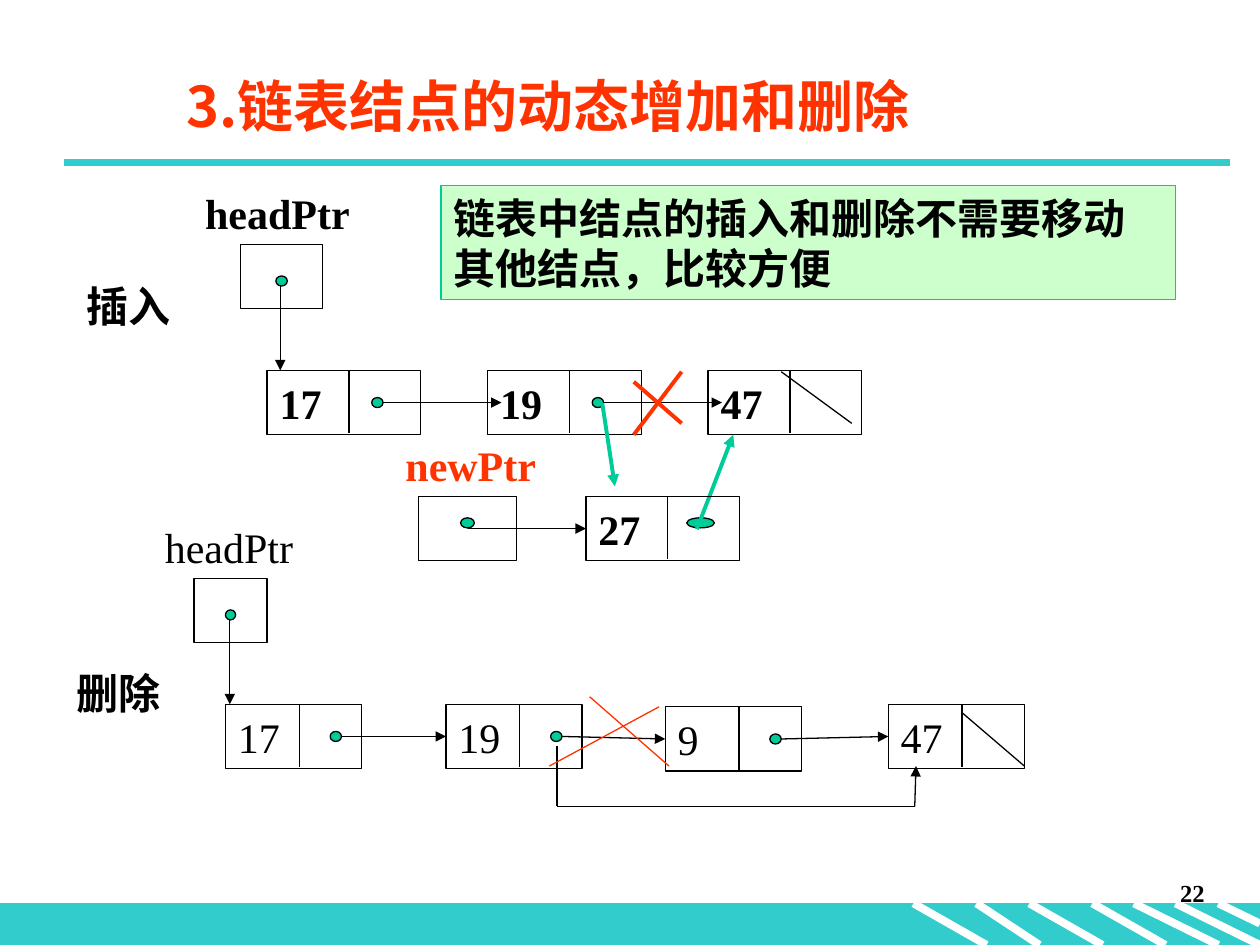
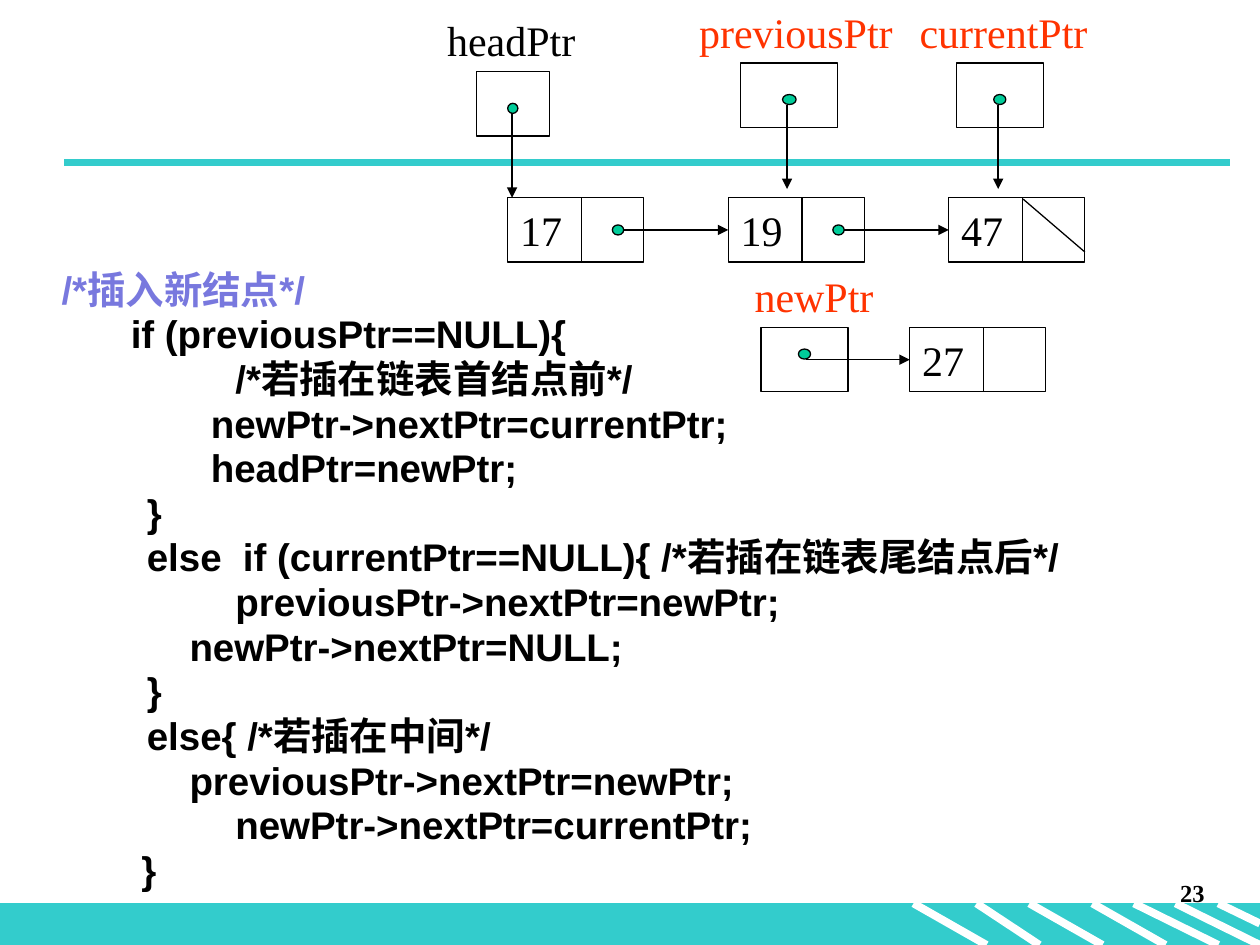
from pptx import Presentation
from pptx.dml.color import RGBColor
from pptx.enum.shapes import MSO_CONNECTOR, MSO_SHAPE
from pptx.enum.text import MSO_ANCHOR, PP_ALIGN
from pptx.oxml.ns import qn
from pptx.oxml.xmlchemy import OxmlElement
from pptx.util import Inches, Pt

TEAL, GREEN, MINT = "33CCCC", "00CC99", "CCFFCC"
RED, BLUE, BLACK, WHITE = "FF3300", "7878DE", "000000", "FFFFFF"
SERIF, SANS, HAN = "Times New Roman", "Arial", "Noto Sans CJK SC"
STEP = 1.75  # from one node of a list to the next
BOX_H = 0.51
MID = BOX_H / 2
STRIPES = [(7.25, 7.83, 7.5), (7.75, 8.25, 7.5), (8.17, 8.75, 7.5),
           (8.67, 9.25, 7.5), (9, 9.67, 7.5), (9.33, 10, 7.5),
           (9.67, 10, 7.33)]
CODE = [
    "/*插入新结点*/",
    "\t  if (previousPtr==NULL){",
    "\t\t/*若插在链表首结点前*/",
    "              newPtr->nextPtr=currentPtr;",
    "              headPtr=newPtr;",
    "        }",
    "        else  if (currentPtr==NULL){ /*若插在链表尾结点后*/",
    "      \tpreviousPtr->nextPtr=newPtr;",
    "            newPtr->nextPtr=NULL;",
    "        }",
    "        else{ /*若插在中间*/",
    "            previousPtr->nextPtr=newPtr;",
    "      \tnewPtr->nextPtr=currentPtr;",
    "   \t   }",
]


def rgb(color):
    return RGBColor.from_string(color)


def style(para, size, color=BLACK, bold=False, font=SERIF):
    """Set the font of a paragraph; Chinese letters are always sans serif."""
    face = para.font
    face.size, face.bold, face.name = Pt(size), bold, font
    face.color.rgb = rgb(color)
    asian = OxmlElement("a:ea")
    asian.set("typeface", HAN if font == HAN else SANS)
    para._p.pPr.find(qn("a:defRPr")).append(asian)


def label(slide, x, y, w, h, text, size=24, color=BLACK, bold=False,
          font=SERIF, align=PP_ALIGN.LEFT, anchor=MSO_ANCHOR.TOP):
    frame = slide.shapes.add_textbox(
        Inches(x), Inches(y), Inches(w), Inches(h)).text_frame
    frame.word_wrap = True
    frame.vertical_anchor = anchor
    para = frame.paragraphs[0]
    para.text, para.alignment = text, align
    style(para, size, color, bold, font)


def shape(slide, kind, x, y, w, h, fill=None, edge=BLACK):
    item = slide.shapes.add_shape(
        kind, Inches(x), Inches(y), Inches(w), Inches(h))
    item.shadow.inherit = False
    if fill:
        item.fill.solid()
        item.fill.fore_color.rgb = rgb(fill)
    else:
        item.fill.background()
    item.line.color.rgb = rgb(edge)
    item.line.width = Pt(0.75)
    return item


def box(slide, x, y, w, h=BOX_H, text="", bold=False, fill=None, edge=BLACK):
    item = shape(slide, MSO_SHAPE.RECTANGLE, x, y, w, h, fill, edge)
    if text:
        frame = item.text_frame
        frame.word_wrap = True
        frame.vertical_anchor = MSO_ANCHOR.MIDDLE
        para = frame.paragraphs[0]
        para.text, para.alignment = text, PP_ALIGN.LEFT
        style(para, 24, bold=bold)
    return item


def dot(slide, x, y, w):
    shape(slide, MSO_SHAPE.OVAL, x, y, w, 0.08, GREEN)


def line(slide, x1, y1, x2, y2, color=BLACK, width=0.75, arrow=False):
    item = slide.shapes.add_connector(
        MSO_CONNECTOR.STRAIGHT, Inches(x1), Inches(y1), Inches(x2), Inches(y2))
    item.line.color.rgb = rgb(color)
    item.line.width = Pt(width)
    if arrow:
        tail = OxmlElement("a:tailEnd")
        tail.set("type", "triangle")
        item.line._get_or_add_ln().append(tail)
    item._element.spPr.append(OxmlElement("a:effectLst"))
    return item


def node(slide, x, y, text, bold=False):
    """Draw a list node: a value and an empty link field."""
    w, split = (1.22, 0.65) if bold else (1.08, 0.585)
    item = box(slide, x, y, w, text=text, bold=bold)
    line(slide, x + split, y, x + split, y + 0.5)
    return item


def link(slide, x, y, goal=None):
    """Point from the node at x, y to the goal, or just into the next node."""
    dot(slide, x + 0.83, y + MID - 0.04, 0.09)
    item = line(slide, x + 0.92, y + MID, x + 1.86, y + MID, arrow=True)
    if goal is not None:
        item.end_connect(goal, 1)


def holder(slide, x, y, w, name, name_x, name_w, dot_y,
           color=BLACK, bold=False):
    """Draw a named pointer box and return the left edge of its dot."""
    box(slide, x, y, w)
    label(slide, name_x, y - 0.5, name_w, 0.5, name, color=color, bold=bold)
    size = w * 0.14
    left = x + (w - size) / 2
    dot(slide, left, y + dot_y, size)
    return left


def drop(slide, x, y, w, *name, **look):
    """Draw a pointer box whose arrow goes down."""
    left = holder(slide, x, y, w, *name, 0.25, **look) + 0.035
    line(slide, left, y + 0.33, left, y + 1, arrow=True)


def fresh(slide, x, y, w, name_x, goal, bold=False):
    """Draw newPtr, whose arrow goes right to the new node."""
    left = holder(slide, x, y, w, "newPtr", name_x, 1.4, 0.17, RED, bold)
    line(slide, left + 0.06, y + MID, left + 1, y + MID,
         arrow=True).end_connect(goal, 1)


def slash(slide, x, y):
    """Mark the empty link of the last node at x, y."""
    line(slide, x + 0.59, y + 0.01, x + 1.08, y + 0.43)


def base(deck, number):
    """Add a slide with the rule, the striped band and the page number."""
    slide = deck.slides.add_slide(deck.slide_layouts[6])
    box(slide, 0, 7.17, 10, 0.33, fill=TEAL, edge=TEAL)
    for x1, x2, y2 in STRIPES:
        line(slide, x1, 7.17, x2, y2, WHITE, 4.5)
    line(slide, 0.51, 1.29, 9.76, 1.29, TEAL, 4.5)
    label(slide, 7.58, 6.92, 2.08, 0.5, str(number), 14, bold=True,
          align=PP_ALIGN.RIGHT)
    return slide


def insert(slide):
    x, y = 2.12, 2.94
    for i, value in enumerate(("17", "19", "47")):
        node(slide, x + i * STEP, y, value, True)
    for i in range(2):
        link(slide, x + i * STEP, y)
    line(slide, 6.2, 2.95, 6.76, 3.36)
    drop(slide, 1.91, 1.94, 0.65, "headPtr", 1.53, 1.49, bold=True)
    line(slide, 5.41, 2.95, 5.03, 3.45, RED, 2.25)
    line(slide, 5.03, 3.03, 5.41, 3.36, RED, 2.25)
    line(slide, 4.78, 3.2, 4.88, 3.86, GREEN, 2.25, True)
    dot(slide, 5.45, 4.11, 0.22)
    line(slide, 5.53, 4.2, 5.82, 3.45, GREEN, 2.25, True)
    fresh(slide, 3.32, 3.94, 0.78, 3.12,
          node(slide, 4.65, 3.94, "27", True), True)
    label(slide, 0.59, 2.18, 1.18, 0.5, "插入", bold=True)


def delete(slide):
    spots = [(1.79, 5.59), (3.54, 5.59), (5.28, 5.61), (7.05, 5.59)]
    nodes = [node(slide, *spot, value)
             for spot, value in zip(spots, ("17", "19", "9", "47"))]
    for spot, goal in zip(spots, nodes[1:]):
        link(slide, *spot, goal)
    drop(slide, 1.54, 4.59, 0.58, "headPtr", 1.21, 1.33)
    slash(slide, 7.05, 5.65)
    line(slide, 4.42, 5.92, 4.42, 6.4)
    line(slide, 4.42, 6.4, 7.26, 6.4)
    line(slide, 7.26, 6.4, 7.27, 6.08, arrow=True)
    line(slide, 5.23, 5.61, 4.36, 6.08, RED)
    line(slide, 4.68, 5.53, 5.31, 6.08, RED)
    label(slide, 0.51, 5.25, 1.18, 0.5, "删除", bold=True)


def chain(slide):
    x, y = 4.03, 1.57
    nodes = [node(slide, x + i * STEP, y, value)
             for i, value in enumerate(("17", "19", "47"))]
    for i, goal in enumerate(nodes[1:]):
        link(slide, x + i * STEP, y, goal)
    slash(slide, x + 2 * STEP, y)
    drop(slide, 3.78, 0.57, 0.58, "headPtr", 3.45, 1.33)
    drop(slide, 5.88, 0.5, 0.77, "previousPtr", 5.45, 1.75, color=RED)
    drop(slide, 7.59, 0.5, 0.69, "currentPtr", 7.2, 1.58, color=RED)
    fresh(slide, 6.04, 2.6, 0.69, 5.89, node(slide, 7.22, 2.6, "27"))


def code(slide):
    frame = slide.shapes.add_textbox(
        Inches(0.39), Inches(2.13), Inches(8.39), Inches(4.33)).text_frame
    frame.word_wrap = True
    for i, text in enumerate(CODE):
        para = frame.add_paragraph() if i else frame.paragraphs[0]
        para.text = text
        para.line_spacing = 0.8
        if i:
            para.space_before = Pt(4.4)
        props = para._p.get_or_add_pPr()
        props.set("marL", str(Inches(0.38)))
        props.set("indent", str(Inches(-0.38)))
        props.set("defTabSz", str(Inches(1)))
        style(para, 22, BLACK if i else BLUE, True, SANS)


def main():
    deck = Presentation()
    deck.slide_width, deck.slide_height = Inches(10), Inches(7.5)

    slide = base(deck, 22)
    label(slide, 1.38, 0.44, 8.5, 0.79, "3.链表结点的动态增加和删除", 32, RED,
          True, HAN, anchor=MSO_ANCHOR.MIDDLE)
    insert(slide)
    delete(slide)
    box(slide, 3.5, 1.47, 5.83, 0.91,
        text="链表中结点的插入和删除不需要移动其他结点，比较方便",
        bold=True, fill=MINT, edge=GREEN)

    slide = base(deck, 23)
    chain(slide)
    code(slide)
    deck.save("out.pptx")


if __name__ == "__main__":
    main()
